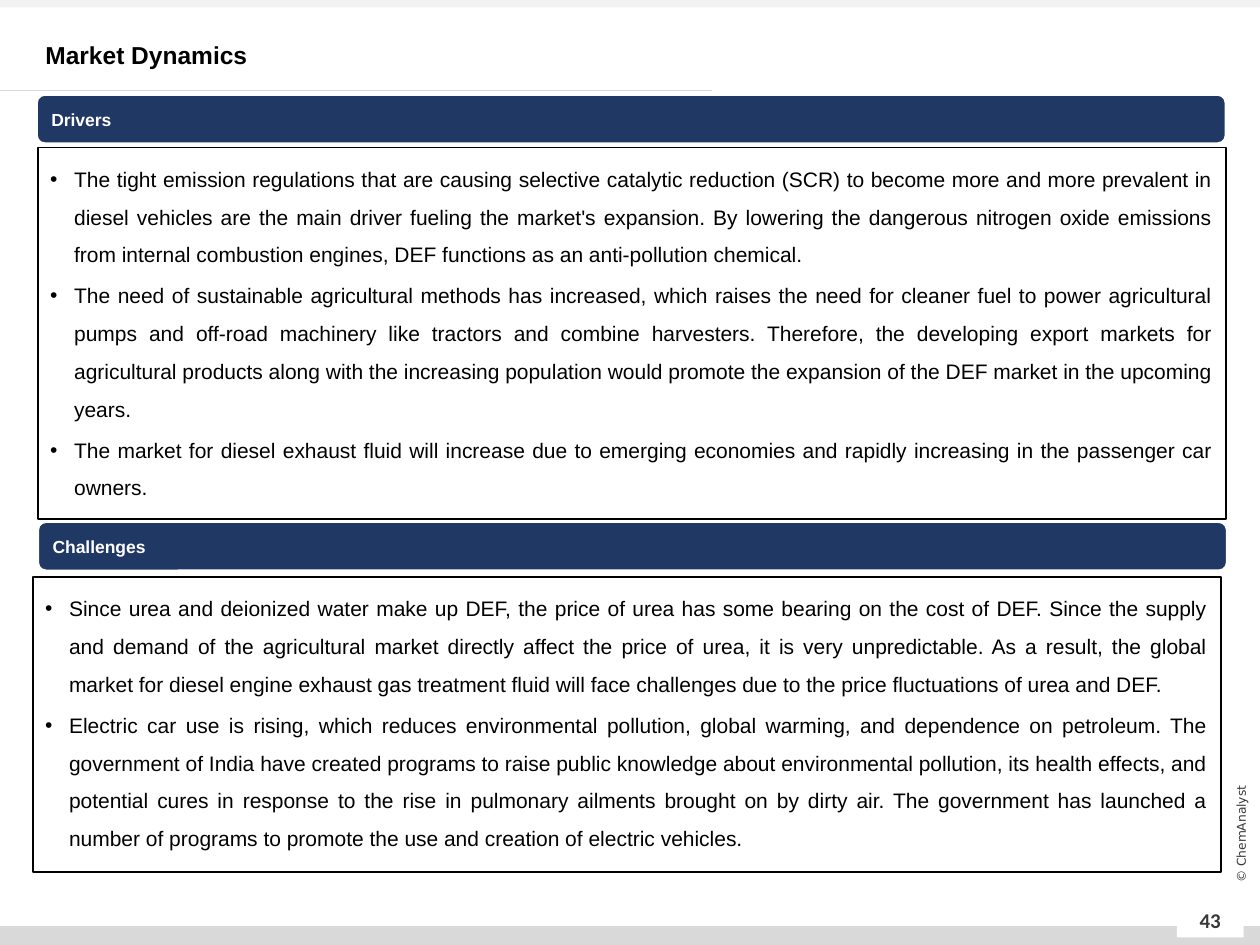
import dataclasses

import lxml.etree
import pptx
import pptx.dml.color
import pptx.enum.shapes
import pptx.enum.text
import pptx.oxml.ns
import pptx.util

SHAPE = pptx.enum.shapes.MSO_SHAPE
ALIGN = pptx.enum.text.PP_ALIGN
ANCHOR = pptx.enum.text.MSO_ANCHOR
PX = 9144


@dataclasses.dataclass(frozen=True)
class Theme:
    """Colours, fonts and type sizes of the slide."""
    white: str = "FFFFFF"
    black: str = "000000"
    navy: str = "203864"
    grey: str = "D9D9D9"
    pale: str = "F2F2F2"
    dark: str = "3B3838"
    font: str = "Arial"
    number_font: str = "Calibri"
    credit_font: str = "DejaVu Sans"
    title: int = 14
    body: int = 12
    heading: int = 10
    credit: int = 7


THEME = Theme()

DRIVERS = [
    "The tight emission regulations that are causing selective catalytic reduction (SCR) to become more and more "
    "prevalent in diesel vehicles are the main driver fueling the market's expansion. By lowering the dangerous "
    "nitrogen oxide emissions from internal combustion engines, DEF functions as an anti-pollution chemical.",
    "The need of sustainable agricultural methods has increased, which raises the need for cleaner fuel to power "
    "agricultural pumps and off-road machinery like tractors and combine harvesters. Therefore, the developing "
    "export markets for agricultural products along with the increasing population would promote the expansion of "
    "the DEF market in the upcoming years.",
    "The market for diesel exhaust fluid will increase due to emerging economies and rapidly increasing in the "
    "passenger car owners.",
]
CHALLENGES = [
    "Since urea and deionized water make up DEF, the price of urea has some bearing on the cost of DEF. Since the "
    "supply and demand of the agricultural market directly affect the price of urea, it is very unpredictable. As a "
    "result, the global market for diesel engine exhaust gas treatment fluid will face challenges due to the price "
    "fluctuations of urea and DEF.",
    "Electric car use is rising, which reduces environmental pollution, global warming, and dependence on "
    "petroleum. The government of India have created programs to raise public knowledge about environmental "
    "pollution, its health effects, and potential cures in response to the rise in pulmonary ailments brought on by "
    "dirty air. The government has launched a number of programs to promote the use and creation of electric "
    "vehicles.",
]


def rgb(color):
    """Turn a hex string into a colour."""
    return pptx.dml.color.RGBColor.from_string(color)


def emu(*lengths):
    """Turn px lengths into EMU."""
    return [pptx.util.Emu(n * PX) for n in lengths]


def style(p, size, color, font=THEME.font, bold=False, align=ALIGN.LEFT):
    """Format a paragraph and its runs."""
    p.alignment = align
    for r in p.runs:
        r.font.name, r.font.size, r.font.bold = font, pptx.util.Pt(size), bold
        r.font.color.rgb = rgb(color)


def add_box(s, box, fill, line=None, width=1, kind=SHAPE.RECTANGLE):
    """Add a flat preset shape."""
    sp = s.shapes.add_shape(kind, *emu(*box))
    sp.shadow.inherit = False
    sp.fill.solid()
    sp.fill.fore_color.rgb = rgb(fill)
    if line:
        sp.line.color.rgb = rgb(line)
        sp.line.width = pptx.util.Pt(width)
    else:
        sp.line.fill.background()
    return sp


def add_label(s, box, text, size, font, bold=False):
    """Add a centred line of small dark text."""
    sp = s.shapes.add_textbox(*emu(*box))
    tf = sp.text_frame
    tf.text, tf.word_wrap, tf.vertical_anchor = text, True, ANCHOR.MIDDLE
    style(tf.paragraphs[0], size, THEME.dark, font, bold, ALIGN.CENTER)
    return sp


def add_bullet(p):
    """Give a paragraph a hanging round bullet."""
    pPr = p._p.get_or_add_pPr()
    indent = 19 * PX
    pPr.set("marL", str(indent))
    pPr.set("indent", str(-indent))
    for tag, key, value in (("a:buFont", "typeface", THEME.font), ("a:buChar", "char", "•")):
        lxml.etree.SubElement(pPr, pptx.oxml.ns.qn(tag)).set(key, value)


def add_frame(s, width, height):
    """Add the edge bars, title rule, page number and copyright line."""
    add_box(s, (0, 0, width, 6), THEME.pale)
    add_box(s, (0, height - 15, width, 15), THEME.grey)
    add_box(s, (width - 66, height - 28, 53, 22), THEME.white)
    add_label(s, (width - 64, height - 40, 49, 40), "43", THEME.body, THEME.number_font, True)
    credit = add_label(s, (width - 75, height - 96, 120, 16), "© ChemAnalyst", THEME.credit, THEME.credit_font)
    credit.rotation = 270
    rule = s.shapes.add_connector(pptx.enum.shapes.MSO_CONNECTOR.STRAIGHT, *emu(0, 72, 565, 72))
    rule.line.color.rgb = rgb(THEME.grey)
    rule.line.width = pptx.util.Pt(0.5)
    lxml.etree.SubElement(rule._element.spPr, pptx.oxml.ns.qn("a:effectLst"))


def add_title(s, box, text):
    """Place and format the title placeholder."""
    sp = s.shapes.title
    sp.left, sp.top, sp.width, sp.height = emu(*box)
    tf = sp.text_frame
    tf.text, tf.word_wrap, tf.vertical_anchor = text, True, ANCHOR.MIDDLE
    tf.auto_size = pptx.enum.text.MSO_AUTO_SIZE.NONE
    tf.paragraphs[0].line_spacing = 0.9
    style(tf.paragraphs[0], THEME.title, THEME.black, bold=True)


def add_heading(s, box, text):
    """Add a rounded section bar."""
    sp = add_box(s, box, THEME.navy, THEME.white, 1.5, SHAPE.ROUNDED_RECTANGLE)
    tf = sp.text_frame
    tf.text, tf.vertical_anchor = text, ANCHOR.MIDDLE
    style(tf.paragraphs[0], THEME.heading, THEME.white, bold=True)


def add_points(s, box, points):
    """Add an outlined box of justified bullets."""
    tf = add_box(s, box, THEME.white, THEME.black).text_frame
    tf.text, tf.vertical_anchor = "\n".join(points), ANCHOR.TOP
    for p in tf.paragraphs:
        p.line_spacing = 1.5
        p.space_after = pptx.util.Pt(1.8)
        add_bullet(p)
        style(p, THEME.body, THEME.black, align=ALIGN.JUSTIFY)


def add_section(s, box, heading, points, shift, gap):
    """Add a section bar with its bullets below, moved sideways by shift."""
    left, top, width, height = box
    bar = 39
    add_points(s, (left + shift, top + bar + gap, width - 1, height - bar - gap), points)
    add_heading(s, (left, top, width, bar), heading)


def main():
    """Build and save the slide."""
    prs = pptx.Presentation()
    width, height = 1000, 750
    prs.slide_width, prs.slide_height = emu(width, height)
    s = prs.slides.add_slide(prs.slide_layouts.get_by_name("Title Only"))
    add_frame(s, width, height)
    add_title(s, (26, 29, 810, 32), "Market Dynamics")
    add_section(s, (29, 75, 944, 337), "Drivers", DRIVERS, 1, 3)
    add_section(s, (30, 414, 944, 278), "Challenges", CHALLENGES, -4, 5)
    prs.save("out.pptx")


if __name__ == "__main__":
    main()
